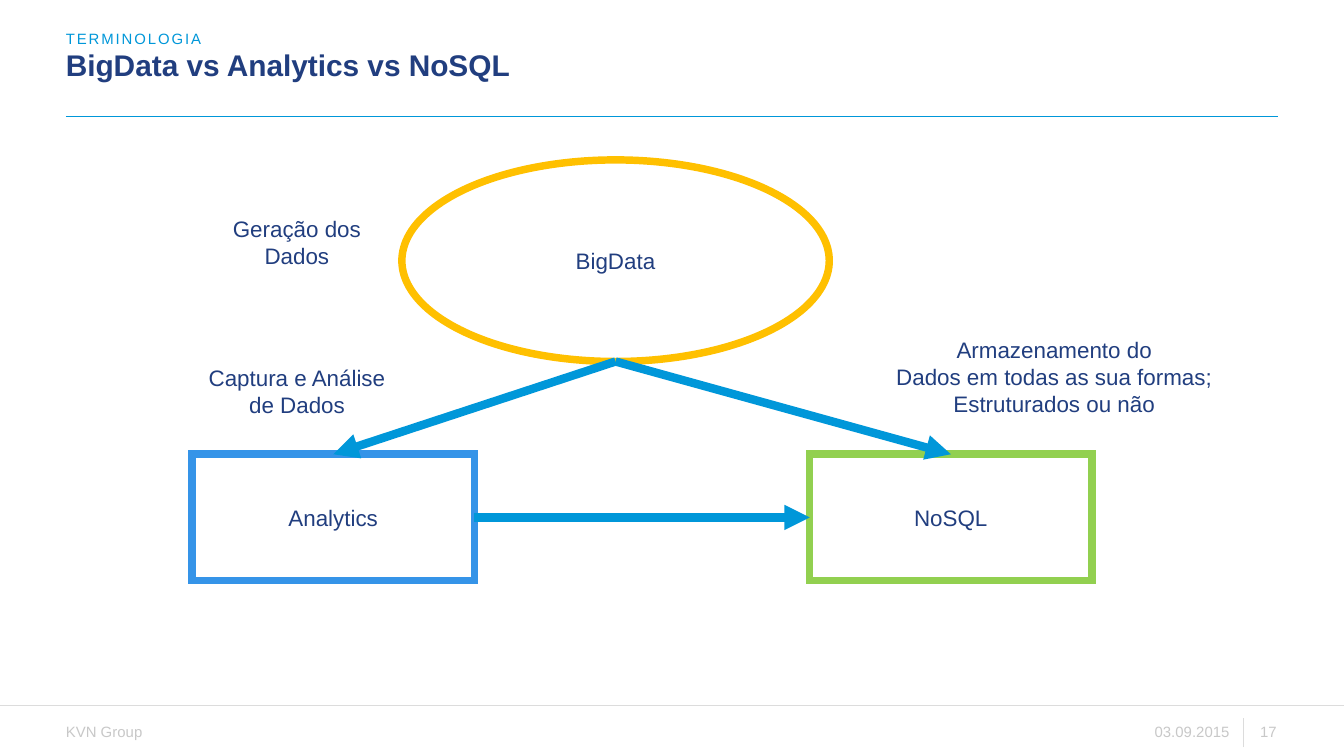
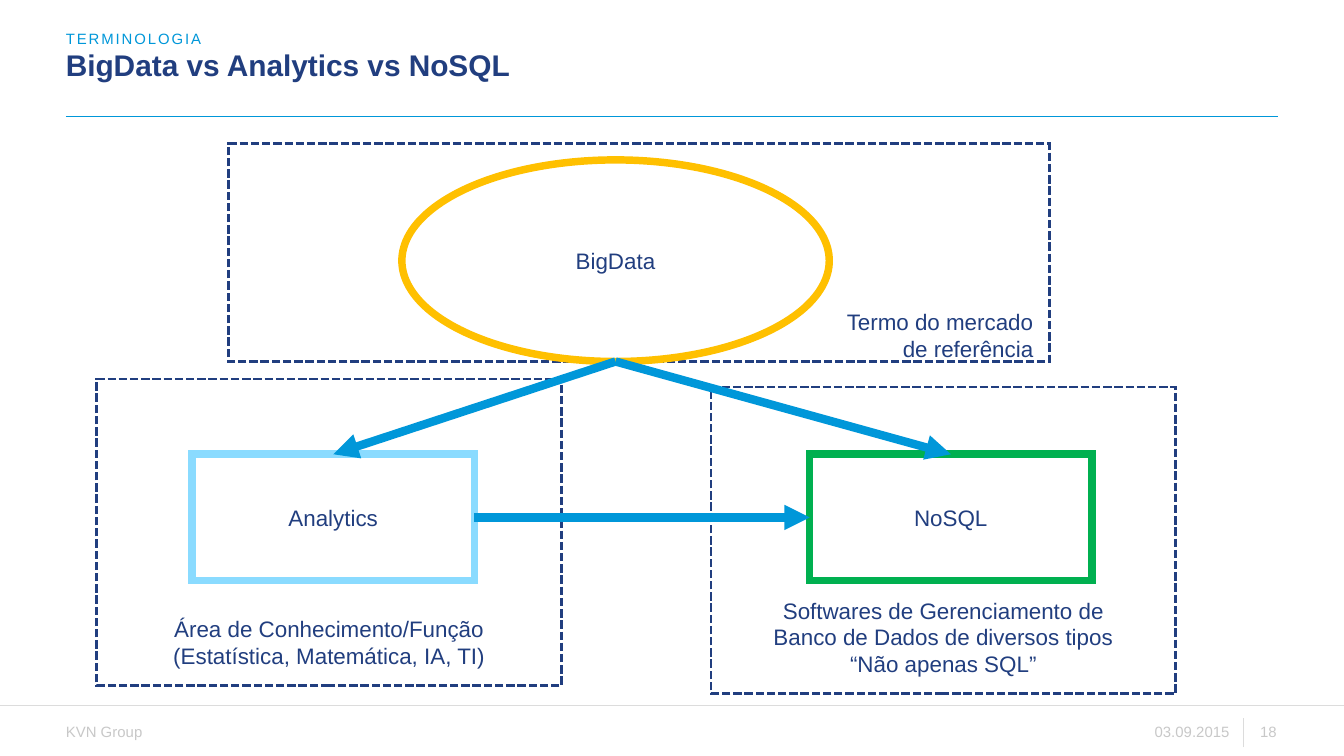
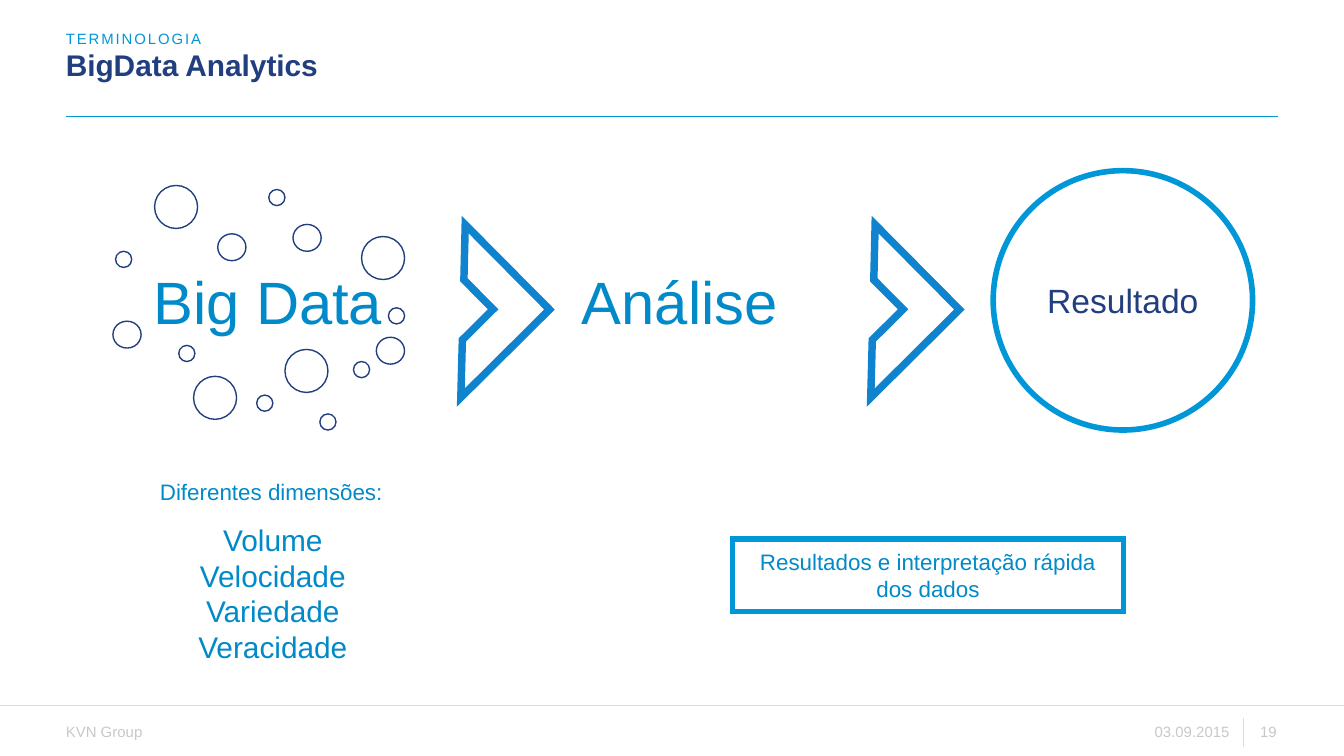
from dataclasses import dataclass
from typing import Any, NamedTuple

from lxml import etree
from pptx import Presentation
from pptx.dml.color import RGBColor
from pptx.enum.dml import MSO_LINE
from pptx.enum.shapes import MSO_CONNECTOR, MSO_SHAPE
from pptx.enum.text import MSO_ANCHOR, MSO_AUTO_SIZE, PP_ALIGN
from pptx.oxml.ns import qn
from pptx.util import Inches, Pt

OVAL, RECT, HALF = MSO_SHAPE.OVAL, MSO_SHAPE.RECTANGLE, MSO_SHAPE.HALF_FRAME
STRAIGHT, DASH = MSO_CONNECTOR.STRAIGHT, MSO_LINE.SQUARE_DOT
LEFT, MID, RIGHT = PP_ALIGN.LEFT, PP_ALIGN.CENTER, PP_ALIGN.RIGHT
TOP, CORE, BASE = MSO_ANCHOR.TOP, MSO_ANCHOR.MIDDLE, MSO_ANCHOR.BOTTOM
GROW, FIXED = MSO_AUTO_SIZE.SHAPE_TO_FIT_TEXT, MSO_AUTO_SIZE.NONE

WHITE = RGBColor(0xFF, 0xFF, 0xFF)
NAVY = RGBColor(0x21, 0x3E, 0x7F)
CYAN = RGBColor(0x00, 0x97, 0xD9)
TEAL = RGBColor(0x00, 0x8A, 0xC9)
BLUE = RGBColor(0x10, 0x83, 0xCF)
GOLD = RGBColor(0xFF, 0xC0, 0x00)
AZURE = RGBColor(0x35, 0x94, 0xE8)
SKY = RGBColor(0x8A, 0xDB, 0xFF)
LIME = RGBColor(0x92, 0xD0, 0x50)
GREEN = RGBColor(0x00, 0xB0, 0x50)
RULE = RGBColor(0xDC, 0xDC, 0xDC)
GREY = RGBColor(0xC8, 0xC8, 0xC8)

# The slide is a grid of square cells: 100 columns by 56.25 rows.
COLS, ROWS = 100, 56.25
CELL = Inches(0.1)
FACE = "Arial"


def cells(count: float) -> int:
    return round(count * CELL)


class Spot(NamedTuple):
    col: float
    row: float


class Box(NamedTuple):
    col: float
    row: float
    wide: float
    high: float

    @property
    def head(self) -> Spot:
        return Spot(self.col + self.wide / 2, self.row)

    @property
    def foot(self) -> Spot:
        return Spot(self.col + self.wide / 2, self.row + self.high)

    @property
    def west(self) -> Spot:
        return Spot(self.col, self.row + self.high / 2)

    @property
    def east(self) -> Spot:
        return Spot(self.col + self.wide, self.row + self.high / 2)

    def emu(self) -> list[int]:
        return [cells(part) for part in self]


@dataclass(frozen=True)
class Look:
    size: float = 12
    color: RGBColor = NAVY
    bold: bool = False
    align: PP_ALIGN = MID
    lead: Any = 1.0


@dataclass(frozen=True)
class Pen:
    color: RGBColor
    width: float
    dash: Any = None


@dataclass(frozen=True)
class Panel:
    """A dashed box with its caption at the bottom."""
    box: Box
    text: str
    align: PP_ALIGN = MID
    pad: float = 1.2


@dataclass(frozen=True)
class Note:
    box: Box
    text: str
    look: Look = Look()


PLAIN = Look()
TITLE = Look(16, NAVY, True, LEFT, Pt(17))
TOPIC = Look(8, CYAN, False, LEFT)
SMALL = Look(8, GREY, False, LEFT)
STAMP = Look(8, GREY, False, RIGHT)
HUGE = Look(32, TEAL, False, LEFT)

EDGE = 4.9
HEAD_BOX = Box(EDGE, 3.8, 73.2, 2.4)
TOPIC_BOX = Box(EDGE, 2.2, 73.2, 1.3)
FOOT_ROW, FOOT_HIGH = 53.8, 1.3

DATA = Box(29.9, 11.9, 31.8, 15)
STUDY = Box(14.3, 33.8, 21, 9.4)
STORE = Box(60.25, 33.8, 21, 9.4)

ROLES = [
    Note(Box(17.3, 16, 9.6, 4), "Geração dos\nDados"),
    Note(Box(15.5, 27.1, 13.2, 4), "Captura e Análise\nde Dados"),
    Note(Box(66.6, 25, 23.7, 6.1),
         "Armazenamento do\nDados em todas as sua formas;\nEstruturados ou não"),
]
PANELS = [
    Panel(Box(7.2, 28.2, 34.6, 22.8),
          "Área de Conhecimento/Função\n(Estatística, Matemática, IA, TI)"),
    Panel(Box(52.9, 28.8, 34.6, 22.8),
          "Softwares de Gerenciamento de\nBanco de Dados de diversos tipos\n“Não apenas SQL”"),
    Panel(Box(17, 10.7, 61.1, 16.2), "Termo do mercado\nde referência", RIGHT, 0),
]
STEPS = [
    Note(Box(43.3, 19.7, 14.7, 5.4), "Análise", HUGE),
    Note(Box(11.4, 19.7, 17.2, 5.4), "Big Data", HUGE),
    Note(Box(11.9, 35.6, 16.7, 2), "Diferentes dimensões:", Look(12, TEAL, False, LEFT)),
    Note(Box(14.7, 38.8, 11.2, 10.8), "Volume\nVelocidade\nVariedade\nVeracidade",
         Look(16, TEAL)),
]
DOTS = {
    (3.2, 3.2): [(11.5, 13.8), (14.4, 28), (26.9, 17.6), (21.2, 26)],
    (2.1, 2): [(28, 25.1), (21.8, 16.7), (16.2, 17.4), (8.4, 23.9)],
    (1.2, 1.2): [(19.1, 29.4), (23.8, 30.8), (26.3, 26.9), (28.9, 22.9),
                 (20, 14.1), (8.6, 18.7), (13.3, 25.7)],
}


def dress(item: Any, **values: Any) -> None:
    for name, value in values.items():
        setattr(item, name, value)


def setup(frame: Any, anchor: Any = TOP, across: float = 0, down: float = 0,
          base: float | None = None, wrap: bool = True, fit: Any = GROW) -> None:
    """Set the frame's anchor, wrapping and insets (in cells)."""
    side, top = cells(across), cells(down)
    dress(frame, word_wrap=wrap, auto_size=fit, vertical_anchor=anchor,
          margin_left=side, margin_right=side, margin_top=top,
          margin_bottom=top if base is None else cells(base))


def write(frame: Any, text: str, look: Look, spread: int = 0) -> None:
    """Write one paragraph per line; spread is tracking in points."""
    for index, line in enumerate(text.split("\n")):
        para = frame.add_paragraph() if index else frame.paragraphs[0]
        props = para._p.get_or_add_pPr()
        dress(para, alignment=look.align, line_spacing=look.lead,
              space_before=Pt(0), space_after=Pt(0))
        props.set("marL", "0")
        props.set("indent", "0")
        etree.SubElement(props, qn("a:buNone"))
        run = para.add_run()
        run.text = line
        dress(run.font, name=FACE, size=Pt(look.size), bold=look.bold)
        run.font.color.rgb = look.color
        if spread:
            run._r.get_or_add_rPr().set("spc", str(spread * 100))


def stroke(item: Any, pen: Pen) -> Any:
    """Style the outline with sharp corners and return its XML element."""
    item.line.color.rgb = pen.color
    item.line.width = Pt(pen.width)
    if pen.dash:
        item.line.dash_style = pen.dash
    edge = item._element.spPr.find(qn("a:ln"))
    etree.SubElement(edge, qn("a:miter"), lim="800000")
    return edge


def shape(slide: Any, kind: Any, box: Box, pen: Pen, fill: RGBColor | None = WHITE) -> Any:
    item = slide.shapes.add_shape(kind, *box.emu())
    item.shadow.inherit = False
    if fill is None:
        item.fill.background()
    else:
        item.fill.solid()
        item.fill.fore_color.rgb = fill
    stroke(item, pen)
    return item


def node(slide: Any, kind: Any, box: Box, pen: Pen, text: str,
         look: Look = PLAIN, down: float = 1.2) -> None:
    """Draw a filled shape with centred text."""
    frame = shape(slide, kind, box, pen).text_frame
    setup(frame, CORE, 1.2, down, wrap=False, fit=FIXED)
    write(frame, text, look)


def label(slide: Any, note: Note, anchor: Any = TOP) -> None:
    frame = slide.shapes.add_textbox(*note.box.emu()).text_frame
    setup(frame, anchor, wrap=False)
    write(frame, note.text, note.look)


def link(slide: Any, start: Spot, end: Spot, pen: Pen, arrow: bool = False) -> None:
    ends = [cells(part) for part in (*start, *end)]
    item = slide.shapes.add_connector(STRAIGHT, *ends)
    edge = stroke(item, pen)
    if arrow:
        etree.SubElement(edge, qn("a:tailEnd"), type="triangle")
    etree.SubElement(item._element.spPr, qn("a:effectLst"))


def begin(deck: Any, title: str, page: int) -> Any:
    """Add a slide with its heading, rules and footer."""
    slide = deck.slides.add_slide(deck.slide_layouts[1])
    head, topic = slide.placeholders
    for holder, box, anchor, text, look, spread in (
            (head, HEAD_BOX, TOP, title, TITLE, 0),
            (topic, TOPIC_BOX, BASE, "TERMINOLOGIA", TOPIC, 1)):
        dress(holder, **dict(zip(("left", "top", "width", "height"), box.emu())))
        setup(holder.text_frame, anchor)
        write(holder.text_frame, text, look, spread)
    link(slide, Spot(EDGE, 8.65), Spot(COLS - EDGE, 8.65), Pen(CYAN, 0.75))
    link(slide, Spot(-0.3, 52.5), Spot(COLS + 0.3, 52.5), Pen(RULE, 0.75))
    link(slide, Spot(92.5, 55.6), Spot(92.5, 53.4), Pen(RULE, 0.75))
    for col, wide, text, look in ((EDGE, 7, "KVN Group", SMALL),
                                  (84.5, 7, "03.09.2015", STAMP),
                                  (92.8, 2.2, str(page), STAMP)):
        label(slide, Note(Box(col, FOOT_ROW, wide, FOOT_HIGH), text, look), CORE)
    return slide


def flow(slide: Any, left: RGBColor, right: RGBColor) -> None:
    """Draw the three terms and the arrows between them."""
    for kind, box, color, text in ((OVAL, DATA, GOLD, "BigData"),
                                   (RECT, STUDY, left, "Analytics"),
                                   (RECT, STORE, right, "NoSQL")):
        node(slide, kind, box, Pen(color, 4), text)
    for start, end in ((DATA.foot, STUDY.head), (DATA.foot, STORE.head),
                       (STUDY.east, STORE.west)):
        link(slide, start, end, Pen(CYAN, 4.5), arrow=True)


def roles(deck: Any) -> None:
    slide = begin(deck, "BigData vs Analytics vs NoSQL", 17)
    flow(slide, AZURE, LIME)
    for note in ROLES:
        label(slide, note)


def terms(deck: Any) -> None:
    slide = begin(deck, "BigData vs Analytics vs NoSQL", 18)
    for panel in PANELS:
        frame = shape(slide, RECT, panel.box, Pen(NAVY, 1.5, DASH), None).text_frame
        setup(frame, BASE, 1.2, 1.2, panel.pad, fit=FIXED)
        write(frame, panel.text, Look(align=panel.align))
    flow(slide, SKY, GREEN)


def steps(deck: Any) -> None:
    slide = begin(deck, "BigData Analytics", 19)
    pen = Pen(CYAN, 3)
    node(slide, OVAL, Box(73.9, 12.7, 19.3, 19.3), pen, "Resultado", Look(18), 0.4)
    node(slide, RECT, Box(54.5, 40.1, 29.1, 5.4), pen,
         "Resultados e interpretação rápida\ndos dados", Look(12, TEAL), 0.4)
    for note in STEPS:
        label(slide, note)
    for col in (29.8, 60.3):
        shape(slide, HALF, Box(col, 18.7, 9.3, 8.9), Pen(BLUE, 4)).rotation = 135.2
    for size, spots in DOTS.items():
        for spot in spots:
            shape(slide, OVAL, Box(*spot, *size), Pen(NAVY, 0.75), None)


def main() -> None:
    deck = Presentation()
    dress(deck, slide_width=cells(COLS), slide_height=cells(ROWS))
    for build in (roles, terms, steps):
        build(deck)
    deck.save("out.pptx")


if __name__ == "__main__":
    main()
